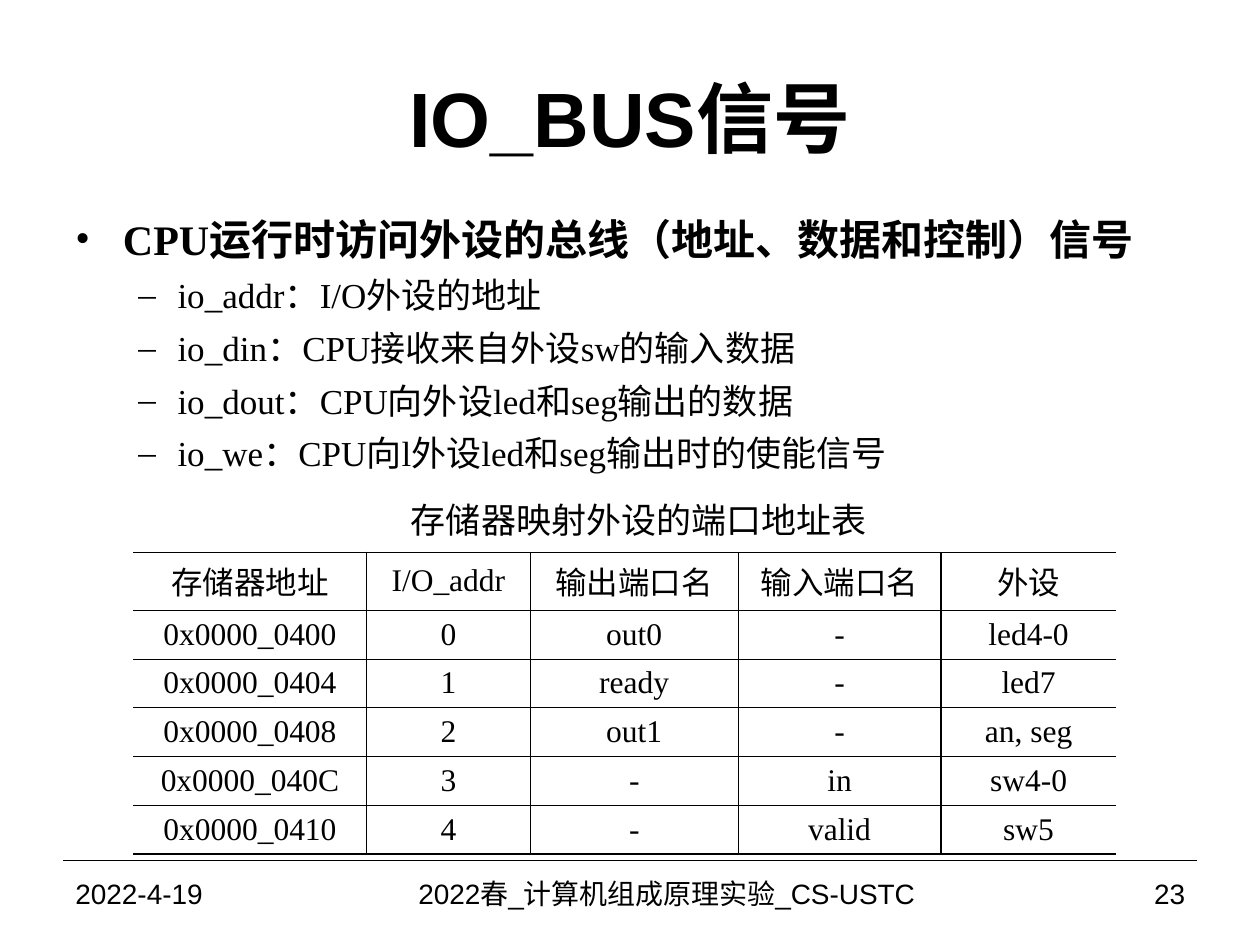
from lxml import etree
from pptx import Presentation
from pptx.dml.color import RGBColor
from pptx.enum.shapes import MSO_CONNECTOR
from pptx.enum.text import MSO_ANCHOR, PP_ALIGN
from pptx.oxml.ns import qn
from pptx.util import Cm, Pt

COLORS = {"ink": "000000"}
SERIF = "Times New Roman"
SANS = "Arial"

FORMATS = {
    "title": {"name": SANS, "size": Pt(44), "bold": True},
    "heading": {"name": SERIF, "size": Pt(24), "bold": True},
    "signal": {"name": SERIF, "size": Pt(20), "bold": False},
    "caption": {"name": SERIF, "size": Pt(20), "bold": False},
    "cell": {"name": SERIF, "size": Pt(18), "bold": False},
    "footer": {"name": SANS, "size": Pt(16), "bold": False},
}
BULLETS = {
    "heading": {"char": "•", "margin": Cm(0.96), "hang": Cm(0.96), "level": 0,
                "line_spacing": Pt(30.5), "space_before": Pt(0)},
    "signal": {"char": "–", "margin": Cm(2.06), "hang": Cm(0.79), "level": 1,
               "line_spacing": Pt(24), "space_before": Pt(6)},
}
SIGNALS = [
    ("heading", "CPU运行时访问外设的总线（地址、数据和控制）信号"),
    ("signal", "io_addr：I/O外设的地址"),
    ("signal", "io_din：CPU接收来自外设sw的输入数据"),
    ("signal", "io_dout：CPU向外设led和seg输出的数据"),
    ("signal", "io_we：CPU向l外设led和seg输出时的使能信号"),
]
PORTS = [
    ("存储器地址", "I/O_addr", "输出端口名", "输入端口名", "外设"),
    ("0x0000_0400", "0", "out0", "-", "led4-0"),
    ("0x0000_0404", "1", "ready", "-", "led7"),
    ("0x0000_0408", "2", "out1", "-", "an, seg"),
    ("0x0000_040C", "3", "-", "in", "sw4-0"),
    ("0x0000_0410", "4", "-", "valid", "sw5"),
]
COLUMN_WIDTHS = [4.7, 3.3, 4.19, 4.09, 3.53]
HEADER_HEIGHT, PORT_HEIGHT = 1.17, 0.96
THIN, THICK = Pt(0.45), Pt(0.75)
FOOTERS = [
    ("2022-4-19", 1.27, 5.92, PP_ALIGN.LEFT),
    ("2022春_计算机组成原理实验_CS-USTC", 7.19, 12.5, PP_ALIGN.CENTER),
    ("23", 19.69, 4.45, PP_ALIGN.RIGHT),
]


def set_all(target, values):
    for attribute, value in values.items():
        setattr(target, attribute, value)


def write(paragraph, text, style, align):
    paragraph.alignment = align
    run = paragraph.add_run()
    run.text = text
    set_all(run.font, FORMATS[style])
    run.font.color.rgb = RGBColor.from_string(COLORS["ink"])


def add_frame(slide, left, top, width, height, anchor, wrap=True):
    frame = slide.shapes.add_textbox(Cm(left), Cm(top), Cm(width), Cm(height)).text_frame
    set_all(frame, {"word_wrap": wrap, "vertical_anchor": anchor})
    return frame


def add_label(slide, text, style, box, align, anchor=MSO_ANCHOR.MIDDLE, wrap=True):
    frame = add_frame(slide, *box, anchor, wrap)
    write(frame.paragraphs[0], text, style, align)


def add_bullet(paragraph, char, margin, hang, **spacing):
    properties = paragraph._p.get_or_add_pPr()
    properties.set("marL", str(margin))
    properties.set("indent", str(-hang))
    etree.SubElement(properties, qn("a:buFont")).set("typeface", SERIF)
    etree.SubElement(properties, qn("a:buChar")).set("char", char)
    set_all(paragraph, spacing)


def add_signals(slide):
    frame = add_frame(slide, 1.27, 4.11, 22.86, 10.08, MSO_ANCHOR.TOP)
    for index, (style, text) in enumerate(SIGNALS):
        paragraph = frame.add_paragraph() if index else frame.paragraphs[0]
        add_bullet(paragraph, **BULLETS[style])
        write(paragraph, text, style, PP_ALIGN.LEFT)


def set_borders(cell, widths):
    properties = cell._tc.get_or_add_tcPr()
    for index, (side, width) in enumerate(widths.items()):
        border = etree.Element(qn(f"a:ln{side}"))
        properties.insert(index, border)
        if width:
            border.set("w", str(width))
            fill = etree.SubElement(border, qn("a:solidFill"))
            etree.SubElement(fill, qn("a:srgbClr")).set("val", COLORS["ink"])
        else:
            etree.SubElement(border, qn("a:noFill"))


def add_ports(slide):
    rows, columns = len(PORTS), len(COLUMN_WIDTHS)
    heights = [HEADER_HEIGHT] + [PORT_HEIGHT] * (rows - 1)
    ports = slide.shapes.add_table(rows, columns, Cm(2.69), Cm(11.13),
                                   Cm(sum(COLUMN_WIDTHS)), Cm(sum(heights))).table
    set_all(ports, {"first_row": False, "horz_banding": False})
    for column, width in zip(ports.columns, COLUMN_WIDTHS):
        column.width = Cm(width)
    for row, height in zip(ports.rows, heights):
        row.height = Cm(height)

    horizontal = [THICK, THICK] + [THIN] * (rows - 2) + [THICK]
    vertical = [None] + [THIN] * (columns - 2) + [THICK, None]
    for r, texts in enumerate(PORTS):
        for c, text in enumerate(texts):
            cell = ports.cell(r, c)
            set_all(cell, {"vertical_anchor": MSO_ANCHOR.MIDDLE,
                           "margin_top": Cm(0.11), "margin_bottom": Cm(0.11)})
            cell.fill.background()
            set_borders(cell, {"L": vertical[c], "R": vertical[c + 1],
                               "T": horizontal[r], "B": horizontal[r + 1]})
            write(cell.text_frame.paragraphs[0], text, "cell", PP_ALIGN.CENTER)


def add_rule(slide):
    rule = slide.shapes.add_connector(MSO_CONNECTOR.STRAIGHT, Cm(1.27), Cm(17.35),
                                      Cm(24.13), Cm(17.35))
    rule.line.color.rgb = RGBColor.from_string(COLORS["ink"])
    rule.line.width = THICK
    etree.SubElement(rule._element.spPr, qn("a:effectLst"))


def main():
    deck = Presentation()
    set_all(deck, {"slide_width": Cm(25.4), "slide_height": Cm(19.05)})
    slide = deck.slides.add_slide(deck.slide_layouts[6])
    add_rule(slide)
    add_label(slide, "IO_BUS信号", "title", (1.27, 0.76, 22.86, 3.18), PP_ALIGN.CENTER)
    add_signals(slide)
    for text, left, width, align in FOOTERS:
        add_label(slide, text, "footer", (left, 17.35, width, 1.32), align)
    add_ports(slide)
    add_label(slide, "存储器映射外设的端口地址表", "caption", (8.03, 9.93, 9.7, 1.12),
              PP_ALIGN.CENTER, MSO_ANCHOR.TOP, wrap=False)
    deck.save("out.pptx")


if __name__ == "__main__":
    main()
